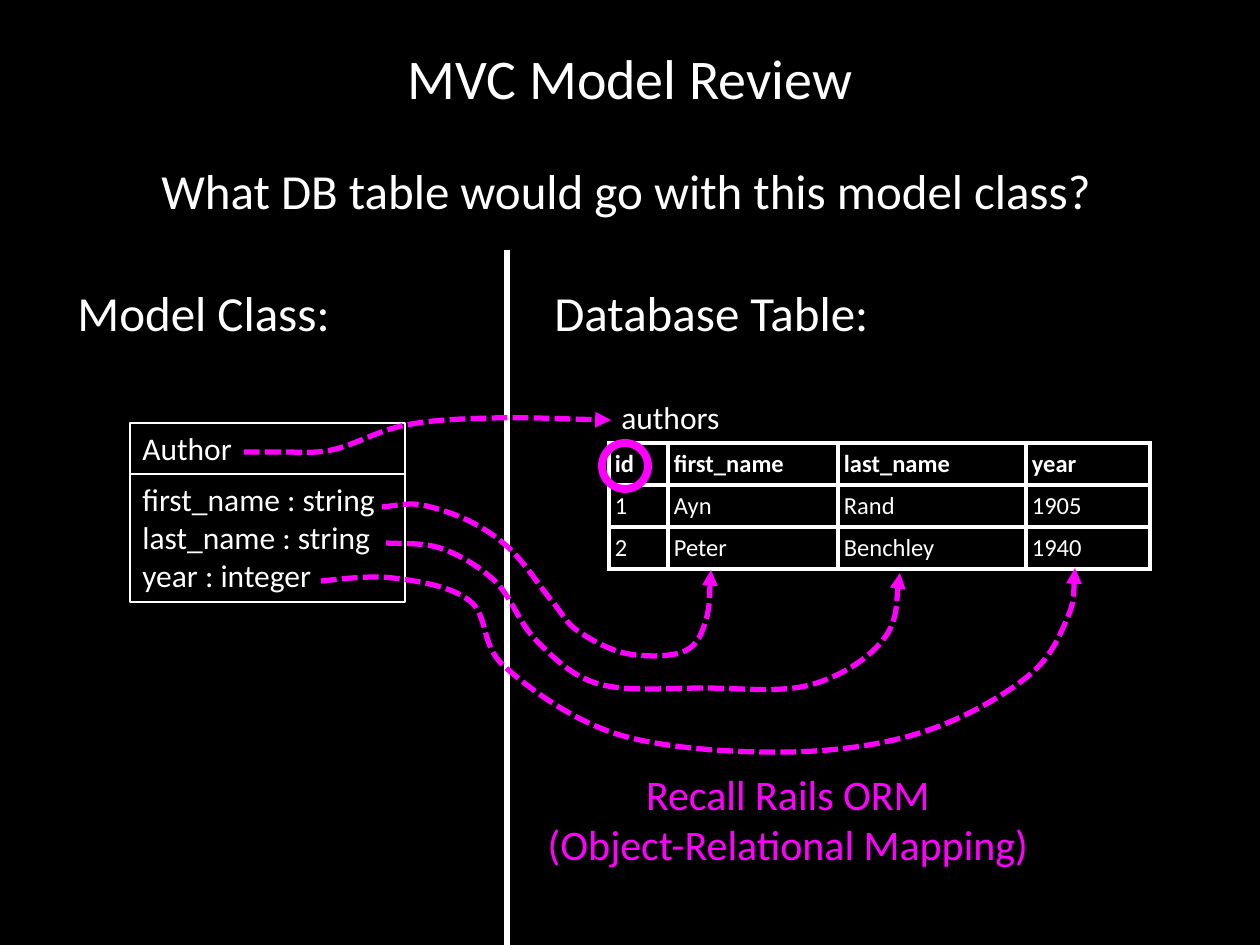
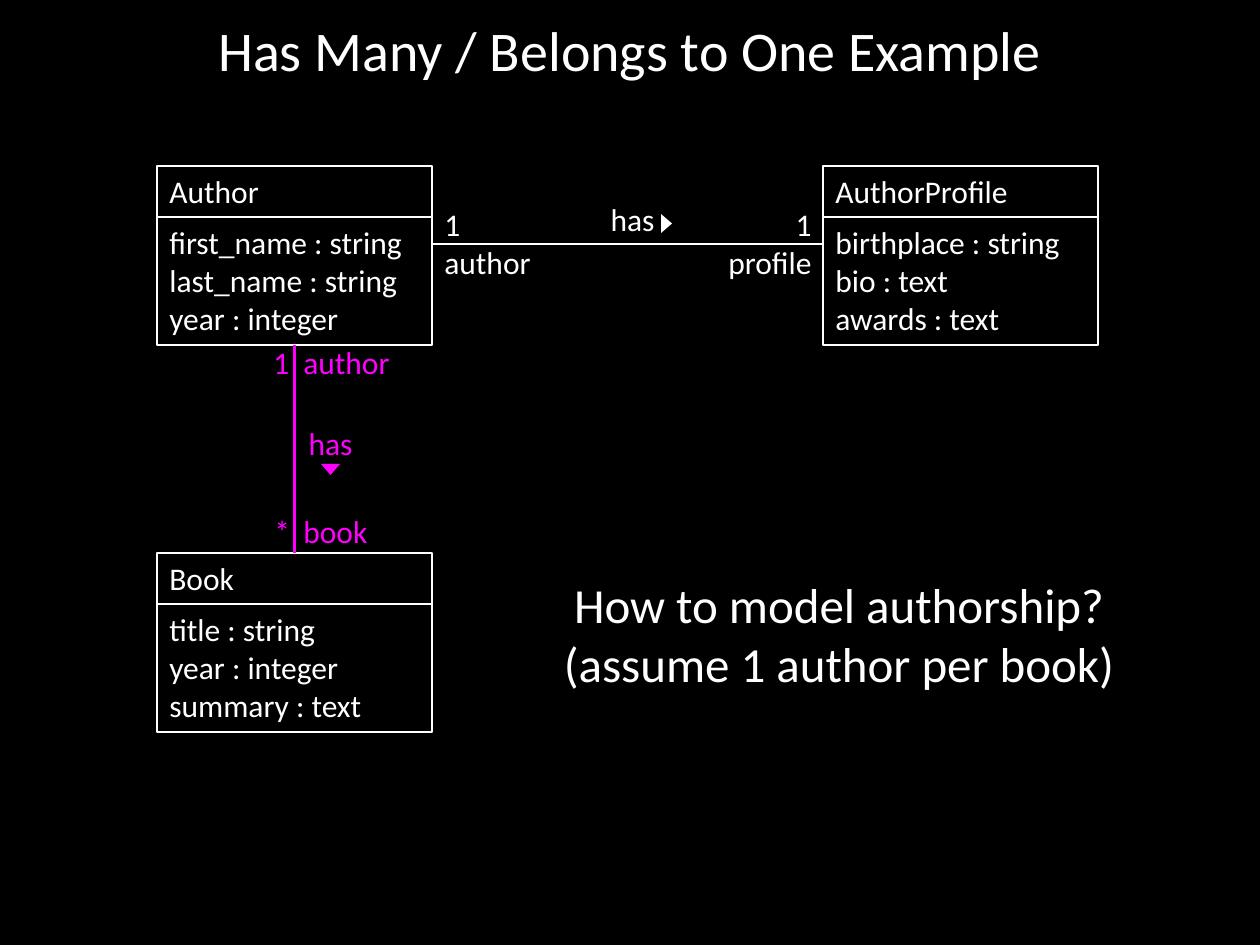
from lxml import etree
from pptx import Presentation
from pptx.dml.color import RGBColor
from pptx.enum.dml import MSO_LINE
from pptx.enum.shapes import MSO_CONNECTOR, MSO_SHAPE
from pptx.enum.text import MSO_ANCHOR, PP_ALIGN
from pptx.oxml.ns import qn
from pptx.util import Emu, Pt

LEFT, CENTER, RIGHT = PP_ALIGN.LEFT, PP_ALIGN.CENTER, PP_ALIGN.RIGHT
TOP, MIDDLE = MSO_ANCHOR.TOP, MSO_ANCHOR.MIDDLE
RECTANGLE, OVAL, TRIANGLE = MSO_SHAPE.RECTANGLE, MSO_SHAPE.OVAL, MSO_SHAPE.ISOSCELES_TRIANGLE
STRAIGHT, DASH = MSO_CONNECTOR.STRAIGHT, MSO_LINE.SQUARE_DOT

# Shared style
PX = 914400 / 126
FONT = "Calibri"
BLACK, WHITE, MAGENTA = "000000", "FFFFFF", "FF00FF"
TITLE_SIZE, HEADING_SIZE, NOTE_SIZE, LABEL_SIZE, CELL_SIZE = 32, 28, 24, 18, 14
CLASS_WIDTH, NAME_HEIGHT, FIELDS_HEIGHT = 275, 51, 128
ARROW_SIZE = (19, 11)

# Content: texts are (text, box, size, colour, alignment)
AUTHOR = ("Author", ["first_name : string", "last_name : string", "year : integer"])
PROFILE = ("AuthorProfile", ["birthplace : string", "bio : text", "awards : text"])
BOOK = ("Book", ["title : string", "year : integer", "summary : text"])

REVIEW_TEXTS = [
    ("What DB table would go with this model class?", (149, 154, 973, 72), HEADING_SIZE, WHITE, LEFT),
    ("Model Class:", (63, 276, 281, 72), HEADING_SIZE, WHITE, CENTER),
    ("Database Table:", (542, 276, 348, 72), HEADING_SIZE, WHITE, LEFT),
    ("authors", (609, 392, 129, 51), LABEL_SIZE, WHITE, LEFT),
    ("Recall Rails ORM\v(Object-Relational Mapping)", (532, 762, 512, 115), NOTE_SIZE, MAGENTA, CENTER),
]
AUTHORS_ROWS = [
    ("id", "first_name", "last_name", "year"),
    ("1", "Ayn", "Rand", "1905"),
    ("2", "Peter", "Benchley", "1940"),
]
AUTHORS_COLUMNS, AUTHORS_ROW_HEIGHT = (59, 170, 188, 124), 42
MAPPING_CURVES = {
    "last_name": [(386, 543), (440, 548), (495, 581), (536, 640), (599, 684),
                  (704, 688), (810, 685), (883, 640), (900, 573)],
    "year": [(321, 581), (393, 578), (470, 601), (505, 667), (620, 735),
             (790, 752), (926, 731), (1027, 677), (1067, 619), (1075, 568)],
    "class name": [(244, 452), (285, 452), (336, 449), (406, 425), (491, 418), (611, 420)],
    "first_name": [(382, 507), (422, 505), (473, 523), (513, 552), (552, 601),
                   (578, 631), (629, 654), (685, 651), (706, 620), (711, 570)],
}

EXAMPLE_TEXTS = [
    ("has", (597, 194, 70, 50), LABEL_SIZE, WHITE, RIGHT),
    ("1\nauthor", (432, 199, 125, 89), LABEL_SIZE, WHITE, LEFT),
    ("1\nprofile", (704, 199, 120, 89), LABEL_SIZE, WHITE, RIGHT),
    ("How to model authorship?\v(assume 1 author per book)", (548, 568, 582, 131), HEADING_SIZE, WHITE, CENTER),
    ("has", (295, 418, 70, 50), LABEL_SIZE, MAGENTA, RIGHT),
    ("1", (261, 337, 50, 50), LABEL_SIZE, MAGENTA, LEFT),
    ("author", (291, 337, 125, 50), LABEL_SIZE, MAGENTA, LEFT),
    ("*", (262, 506, 50, 50), LABEL_SIZE, MAGENTA, LEFT),
    ("book", (291, 506, 125, 50), LABEL_SIZE, MAGENTA, LEFT),
]
READING_ARROWS = [((657, 218), 90, WHITE), ((321, 464), 180, MAGENTA)]


def px(length):
    return Emu(round(length * PX))


def box_px(box):
    return [px(length) for length in box]


def color(hex_code):
    return RGBColor.from_string(hex_code)


def format_text(text_frame, size, hex_code, alignment=LEFT, anchor=TOP, bold=False):
    text_frame.vertical_anchor = anchor
    for paragraph in text_frame.paragraphs:
        paragraph.alignment = alignment
        for run in paragraph.runs:
            run.font.name, run.font.size, run.font.bold = FONT, Pt(size), bold
            run.font.color.rgb = color(hex_code)


def set_line(shape, hex_code, width):
    shape.line.color.rgb = color(hex_code)
    shape.line.width = Pt(width)


def add_slide(presentation, title, box):
    slide = presentation.slides.add_slide(presentation.slide_layouts[5])
    shape = slide.shapes.title
    shape.left, shape.top, shape.width, shape.height = box_px(box)
    shape.text_frame.text = title
    format_text(shape.text_frame, TITLE_SIZE, WHITE, CENTER, MIDDLE)
    return slide


def add_texts(slide, texts):
    for text, box, size, hex_code, alignment in texts:
        text_frame = slide.shapes.add_textbox(*box_px(box)).text_frame
        text_frame.word_wrap = False
        text_frame.text = text
        format_text(text_frame, size, hex_code, alignment)


def add_outline(shapes, preset, box, hex_code, width):
    shape = shapes.add_shape(preset, *box_px(box))
    shape.shadow.inherit = False
    shape.fill.background()
    set_line(shape, hex_code, width)
    return shape


def add_class(slide, left, top, model):
    """Draw a class as a name box above a fields box; return both."""
    name, fields = model
    group = slide.shapes.add_group_shape()
    parts = []
    for text, height in ((name, NAME_HEIGHT), ("\n".join(fields), FIELDS_HEIGHT)):
        shape = add_outline(group.shapes, RECTANGLE, (left, top, CLASS_WIDTH, height), WHITE, 1.5)
        shape.text_frame.word_wrap = True
        shape.text_frame.text = text
        format_text(shape.text_frame, LABEL_SIZE, WHITE)
        parts.append(shape)
        top += height
    return parts


def add_line(slide, start, end, hex_code, width):
    line = slide.shapes.add_connector(STRAIGHT, *box_px(start + end))
    set_line(line, hex_code, width)
    etree.SubElement(line._element.spPr, qn("a:effectLst"))
    return line


def add_curve(slide, points):
    """Draw a dashed arrow that runs smoothly through the points."""
    builder = slide.shapes.build_freeform(*points[0], scale=PX)
    builder.add_line_segments(points[1:], close=False)
    curve = builder.convert_to_shape()
    curve.shadow.inherit = False
    curve.fill.background()
    set_line(curve, MAGENTA, 3)
    curve.line.dash_style = DASH
    etree.SubElement(curve.line._get_or_add_ln(), qn("a:tailEnd"), type="triangle")

    # Turn each straight segment into a cubic, with tangents from its neighbours
    nodes = [(int(node.get("x")), int(node.get("y"))) for node in curve._element.iter(qn("a:pt"))]
    padded = [nodes[0], *nodes, nodes[-1]]
    for index, segment in enumerate(list(curve._element.iter(qn("a:lnTo")))):
        before, start, end, after = padded[index:index + 4]
        controls = (
            [s + (e - b) / 6 for b, s, e in zip(before, start, end)],
            [e - (a - s) / 6 for s, e, a in zip(start, end, after)],
        )
        segment.tag = qn("a:cubicBezTo")
        for position, (x, y) in enumerate(controls):
            point = etree.Element(qn("a:pt"), x=str(round(x)), y=str(round(y)))
            segment.insert(position, point)


def set_borders(cell, hex_code, width):
    properties = cell._tc.get_or_add_tcPr()
    for position, side in enumerate(("lnL", "lnR", "lnT", "lnB")):
        border = etree.Element(qn(f"a:{side}"), w=str(Pt(width)))
        fill = etree.SubElement(border, qn("a:solidFill"))
        etree.SubElement(fill, qn("a:srgbClr"), val=hex_code)
        properties.insert(position, border)


def add_authors_table(slide, left, top):
    row_count, column_count = len(AUTHORS_ROWS), len(AUTHORS_COLUMNS)
    box = (left, top, sum(AUTHORS_COLUMNS), row_count * AUTHORS_ROW_HEIGHT)
    table = slide.shapes.add_table(row_count, column_count, *box_px(box)).table
    table.horz_banding = False
    for column, width in zip(table.columns, AUTHORS_COLUMNS):
        column.width = px(width)
    for row_index, values in enumerate(AUTHORS_ROWS):
        table.rows[row_index].height = px(AUTHORS_ROW_HEIGHT)
        for column_index, value in enumerate(values):
            cell = table.cell(row_index, column_index)
            cell.margin_left = cell.margin_right = cell.margin_top = cell.margin_bottom = px(6)
            cell.fill.solid()
            cell.fill.fore_color.rgb = color(BLACK)
            set_borders(cell, WHITE, 2.25)
            cell.text_frame.text = value
            format_text(cell.text_frame, CELL_SIZE, WHITE, bold=row_index == 0)


def build_review(presentation):
    slide = add_slide(presentation, "MVC Model Review", (63, 1, 1134, 153))
    add_authors_table(slide, 609, 443)
    add_class(slide, 130, 423, AUTHOR)
    add_line(slide, (507, 250), (507, 945), WHITE, 3)
    for points in MAPPING_CURVES.values():
        add_curve(slide, points)
    add_outline(slide.shapes, OVAL, (602, 443, 46, 46), MAGENTA, 4.5)
    add_texts(slide, REVIEW_TEXTS)


def build_example(presentation):
    slide = add_slide(presentation, "Has Many / Belongs to One Example", (63, 0, 1134, 98))
    author_fields = add_class(slide, 157, 166, AUTHOR)[1]
    add_class(slide, 823, 166, PROFILE)
    book_name = add_class(slide, 157, 553, BOOK)[0]

    # Associations
    add_line(slide, (432, 244), (823, 244), WHITE, 1.5)
    author_book = add_line(slide, (295, 345), (295, 553), MAGENTA, 1.5)
    author_book.begin_connect(author_fields, 2)
    author_book.end_connect(book_name, 0)
    for corner, rotation, hex_code in READING_ARROWS:
        arrow = slide.shapes.add_shape(TRIANGLE, *box_px(corner + ARROW_SIZE))
        arrow.shadow.inherit = False
        arrow.rotation = rotation
        arrow.fill.solid()
        arrow.fill.fore_color.rgb = color(hex_code)
        arrow.line.fill.background()
    add_texts(slide, EXAMPLE_TEXTS)


def main():
    presentation = Presentation()
    presentation.slide_width, presentation.slide_height = px(1260), px(945)
    background = presentation.slide_master.background.fill
    background.solid()
    background.fore_color.rgb = color(BLACK)
    build_review(presentation)
    build_example(presentation)
    presentation.save("out.pptx")


if __name__ == "__main__":
    main()
